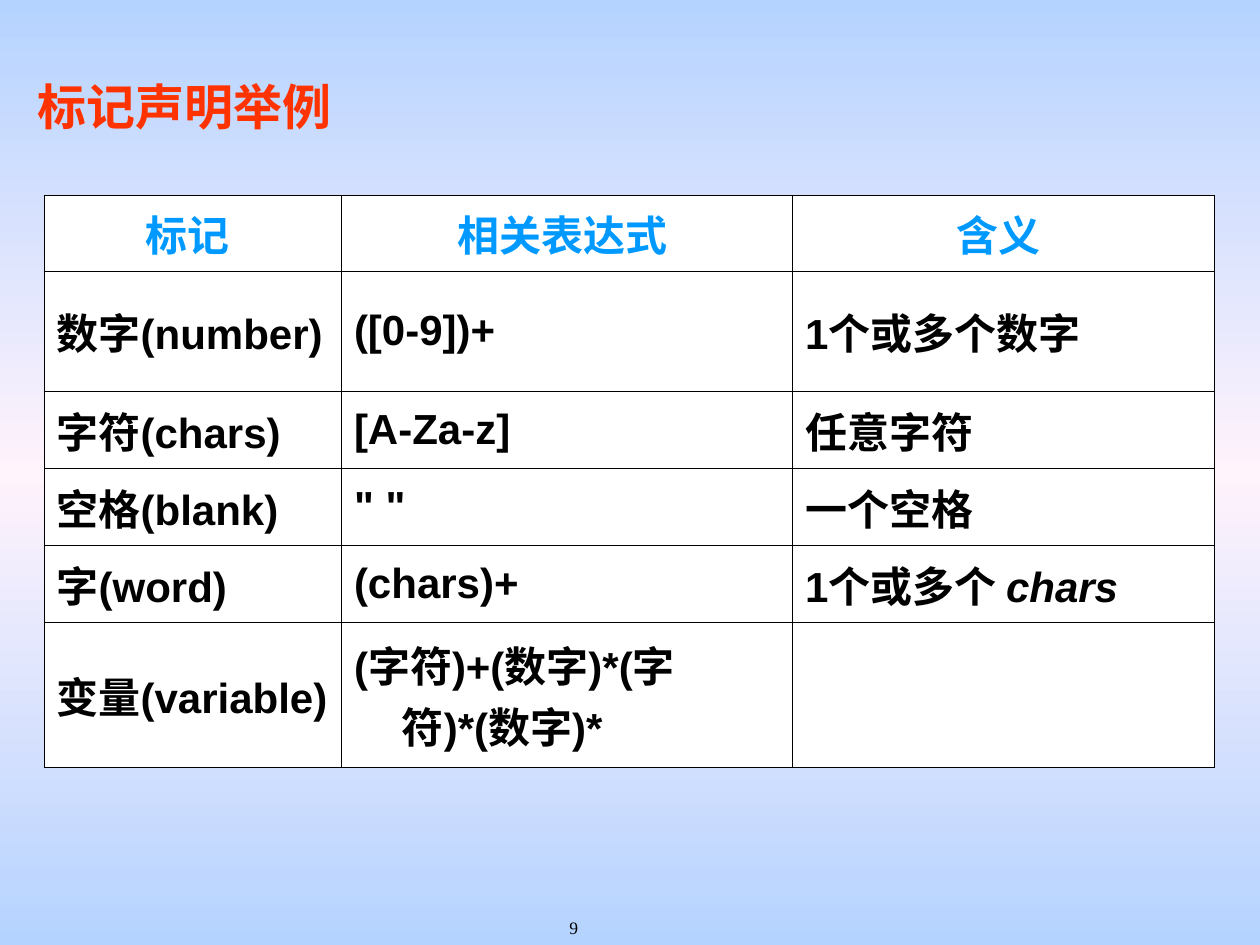
from copy import deepcopy
from dataclasses import dataclass

from lxml.etree import SubElement as Sub
from pptx import Presentation
from pptx.dml.color import RGBColor as RGB
from pptx.enum.text import MSO_ANCHOR as Anchor, MSO_AUTO_SIZE as Fit, PP_ALIGN as Align
from pptx.oxml.ns import qn
from pptx.util import Inches, Pt


@dataclass(frozen=True)
class Theme:
    edge: str = "B5D3FF"
    mid: str = "FFF3FC"
    title: str = "FF3300"
    head: str = "0099FF"
    ink: str = "000000"
    cell: str = "FFFFFF"
    serif: str = "Times New Roman"
    sans: str = "Arial"
    big: float = 28
    body: float = 24
    small: float = 10
    rule: float = 0.45


@dataclass(frozen=True)
class Row:
    high: float
    cells: tuple[str, str, str]
    tail: str = ""  # italic ending of the last cell


THEME = Theme()
COLS = (2.36, 3.58, 3.35)
ROWS = (
    Row(0.6, ("标记 ", "相关表达式 ", "含义 ")),
    Row(0.96, ("数字(number)", "([0-9])+", "1个或多个数字")),
    Row(0.61, ("字符(chars)", "[A-Za-z]", "任意字符")),
    Row(0.61, ("空格(blank)", '" "', "一个空格")),
    Row(0.61, ("字(word)", "(chars)+", "1个或多个 "), "chars"),
    Row(1.15, ("变量(variable)", "(字符)+(数字)*(字符)*(数字)*", "")),
)


def put(para, text: str, hue: str, **form) -> None:
    """Add a run and set its font from the format values."""
    run = para.add_run()
    run.text = text
    for key, val in form.items():
        setattr(run.font, key, val)
    run.font.color.rgb = RGB.from_string(hue)


def frame(cell) -> None:
    """Give a cell its fill and thin borders."""
    cell.fill.solid()
    cell.fill.fore_color.rgb = RGB.from_string(THEME.cell)
    props = cell._tc.get_or_add_tcPr()
    for spot, side in enumerate(("a:lnL", "a:lnR", "a:lnT", "a:lnB")):
        line = Sub(props, qn(side), w=str(Pt(THEME.rule)))
        Sub(Sub(line, qn("a:solidFill")), qn("a:srgbClr"), val=THEME.ink)
        props.insert(spot, line)  # borders come before the fill


def write(cell, text: str, tail: str, head: bool) -> None:
    """Fill a cell with text on a hanging indent."""
    cell.vertical_anchor = Anchor.MIDDLE
    para = cell.text_frame.paragraphs[0]
    para.alignment = Align.CENTER if head else Align.LEFT
    props = para._p.get_or_add_pPr()
    for key, size in {"marL": 0.38, "indent": -0.38}.items():
        props.set(key, str(Inches(size)))
    form = {"name": THEME.sans, "size": Pt(THEME.body), "bold": True}
    hue = THEME.head if head else THEME.ink
    put(para, text, hue, **form)
    if tail:
        put(para, tail, hue, italic=True, **form)


def paint(slide) -> None:
    """Draw the vertical background gradient."""
    fill = slide.background.fill
    fill.gradient()
    fill.gradient_angle = 90
    stops = slide.element.find(".//" + qn("a:gsLst"))
    stops.append(deepcopy(stops[-1]))
    hues = (THEME.edge, THEME.mid, THEME.edge)
    for step, (stop, hue) in enumerate(zip(fill.gradient_stops, hues)):
        stop.position = step / 2
        stop.color.rgb = RGB.from_string(hue)


def grid(slide) -> None:
    """Draw the table of token declarations."""
    high = sum(row.high for row in ROWS)
    table = slide.shapes.add_table(
        len(ROWS), len(COLS), Inches(0.35), Inches(1.55),
        Inches(sum(COLS)), Inches(high)).table
    table.first_row = table.horz_banding = False
    for col, wide in zip(table.columns, COLS):
        col.width = Inches(wide)
    for r, row in enumerate(ROWS):
        table.rows[r].height = Inches(row.high)
        for c, text in enumerate(row.cells):
            cell = table.cell(r, c)
            frame(cell)
            if text:
                write(cell, text, row.tail if c == 2 else "", r == 0)


def main() -> None:
    deck = Presentation()
    deck.slide_width, deck.slide_height = Inches(10), Inches(7.5)
    slide = deck.slides.add_slide(deck.slide_layouts[5])
    paint(slide)

    # Page number
    box = slide.shapes.add_textbox(
        Inches(4.42), Inches(7.23), Inches(0.83), Inches(0.27))
    box.text_frame.word_wrap = True
    put(box.text_frame.paragraphs[0], "9", THEME.ink,
        name=THEME.serif, size=Pt(THEME.small))

    # Title
    title = slide.shapes.title
    spot = {"left": 0.2, "top": 0.52, "width": 8.5, "height": 0.64}
    for key, size in spot.items():
        setattr(title, key, Inches(size))
    text = title.text_frame
    text.auto_size = Fit.NONE
    text.vertical_anchor = Anchor.MIDDLE
    para = text.paragraphs[0]
    para.alignment = Align.LEFT
    put(para, "标记声明举例", THEME.title,
        name=THEME.serif, size=Pt(THEME.big), bold=True)

    grid(slide)
    deck.save("out.pptx")


if __name__ == "__main__":
    main()
